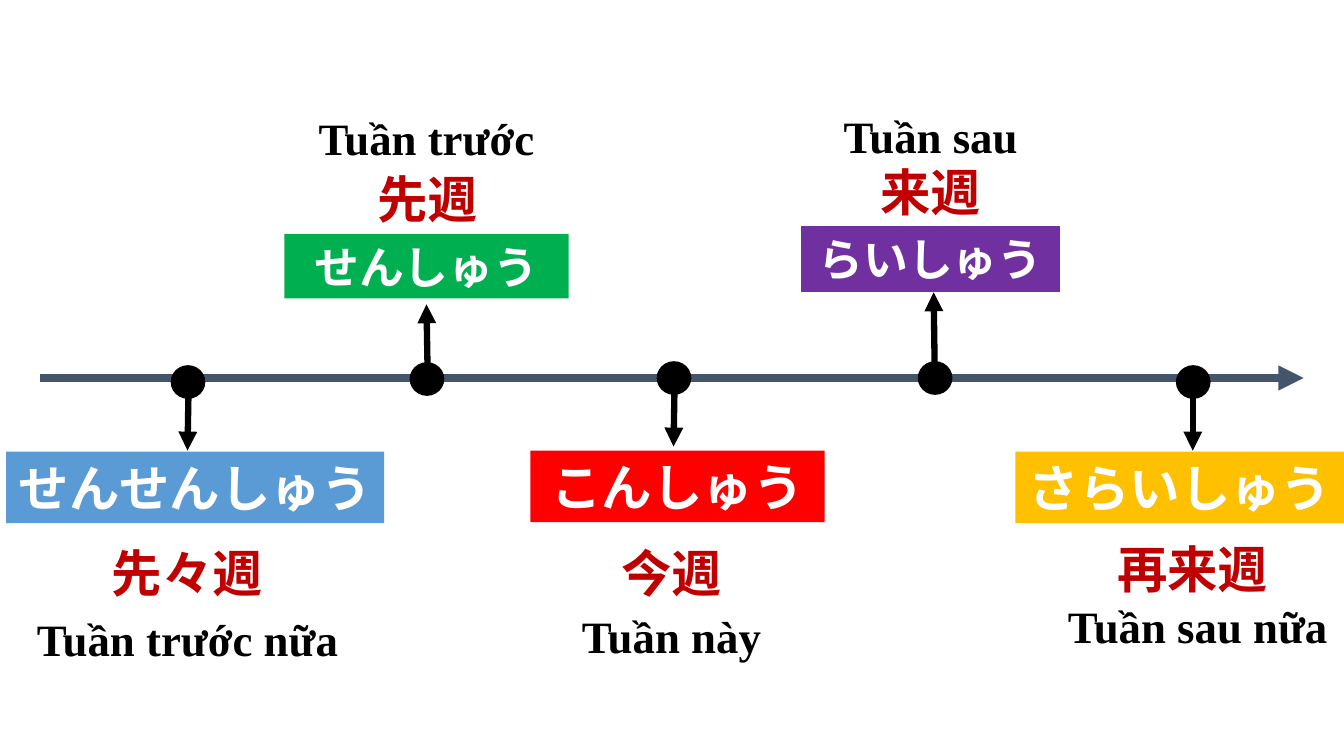
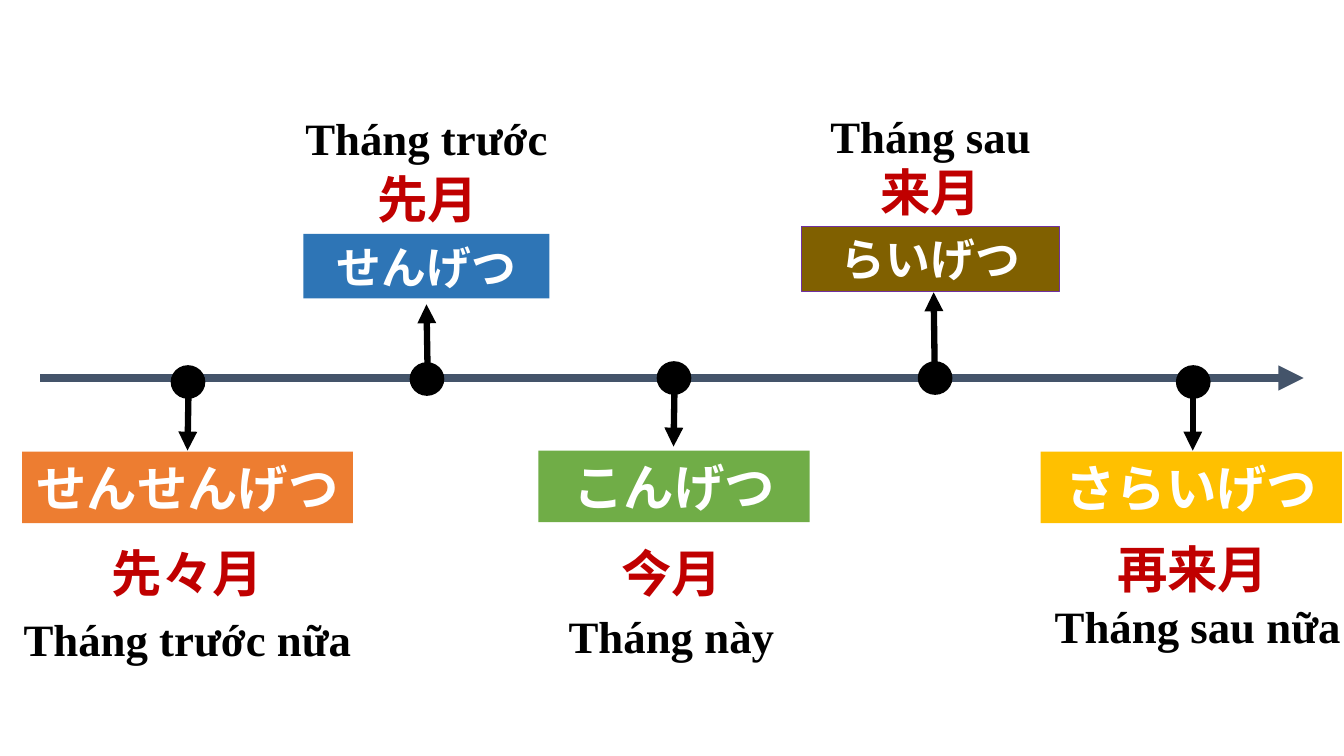
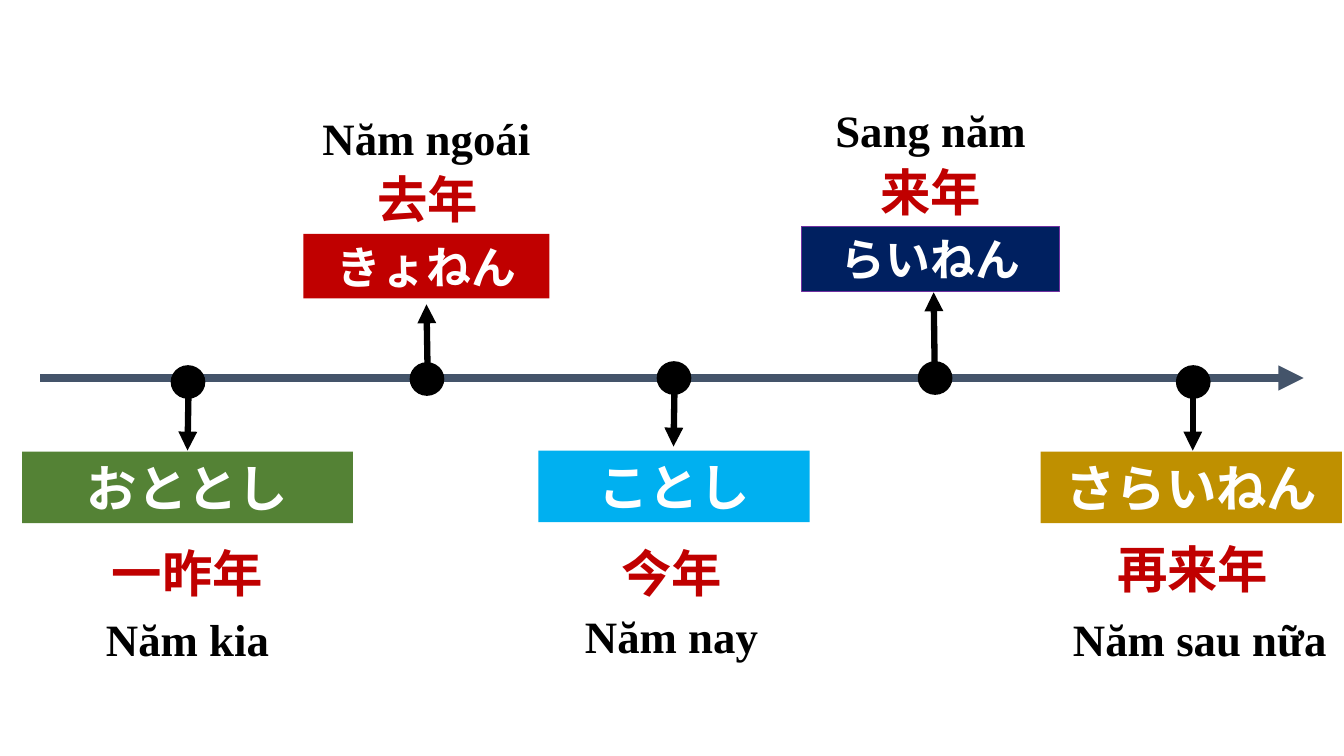
"""Build three Japanese-Vietnamese timelines for weeks, months and years."""
import pptx
import pptx.dml.color
import pptx.enum.shapes
import pptx.enum.text
import pptx.oxml.ns
import pptx.util
from lxml import etree

Inches, Pt = pptx.util.Inches, pptx.util.Pt
RGB = pptx.dml.color.RGBColor
SHAPE = pptx.enum.shapes.MSO_SHAPE
qn = pptx.oxml.ns.qn

BLACK, WHITE = RGB(0, 0, 0), RGB(255, 255, 255)
SLATE = RGB(0x44, 0x54, 0x6A)
DARK_RED, RED = RGB(0xC0, 0, 0), RGB(0xFF, 0, 0)
BLUE, MID_BLUE = RGB(0x5B, 0x9B, 0xD5), RGB(0x2E, 0x75, 0xB6)
SKY, NAVY = RGB(0, 0xB0, 0xF0), RGB(0, 0x20, 0x60)
EMERALD, GREEN = RGB(0, 0xB0, 0x50), RGB(0x70, 0xAD, 0x47)
DARK_GREEN, PURPLE = RGB(0x54, 0x82, 0x35), RGB(0x70, 0x30, 0xA0)
ORANGE, GOLD = RGB(0xED, 0x7D, 0x31), RGB(0xFF, 0xC0, 0)
DARK_GOLD, BROWN = RGB(0xBF, 0x90, 0), RGB(0x80, 0x60, 0)

KANA_FONT, KANJI_FONT, MEANING_FONT = "Noto Sans CJK JP", "Calibri", "Times New Roman"
DOT_W, DOT_H = 0.33, 0.32
KANJI_W, MEANING_W = 2.96, 3.62
LINE_HEIGHT = {32: 0.64, 36: 0.71}

STOPS = [
    dict(dot=(1.7, 3.63), arrow=(1.87, 3.88, 1.86, 4.47), badge_top=4.48, size=36,
         kanji=(0.38, 5.32), meaning=(0.05, 6.02)),
    dict(dot=(4.07, 3.6), arrow=(4.24, 3.61, 4.23, 3.02), badge_top=2.32, size=32,
         kanji=(2.76, 1.61), meaning=(2.42, 1.04)),
    dict(dot=(6.52, 3.59), arrow=(6.69, 3.85, 6.68, 4.43), badge_top=4.47, size=36,
         kanji=(5.18, 5.32), meaning=(4.85, 5.99)),
    dict(dot=(9.11, 3.59), arrow=(9.27, 3.61, 9.26, 2.9), badge_top=2.25, size=32,
         kanji=(7.75, 1.54), meaning=(7.42, 1.03), outline=PURPLE),
    dict(dot=(11.67, 3.63), arrow=(11.83, 3.89, 11.83, 4.47), badge_top=4.48, size=36,
         kanji=(10.35, 5.28), meaning=(10.07, 5.89)),
]

WEEK_BADGES = [(0.06, 3.75), (2.82, 2.82), (5.26, 2.92), (7.95, 2.56), (10.07, 3.27)]
SHORT_BADGES = [(0.22, 3.28), (3.01, 2.44), (5.34, 2.69), (7.95, 2.56), (10.32, 2.99)]

TIMELINES = [
    dict(badges=WEEK_BADGES, latin_kana={4}, moved={}, terms=[
        ("せんせんしゅう", "先々週", "Tuần trước nữa", BLUE),
        ("せんしゅう", "先週", "Tuần trước", EMERALD),
        ("こんしゅう", "今週", "Tuần này", RED),
        ("らいしゅう", "来週", "Tuần sau", PURPLE),
        ("さらいしゅう", "再来週", "Tuần sau nữa", GOLD)]),
    dict(badges=SHORT_BADGES, latin_kana={0, 4}, moved={}, terms=[
        ("せんせんげつ", "先々月", "Tháng trước nữa", ORANGE),
        ("せんげつ", "先月", "Tháng trước", MID_BLUE),
        ("こんげつ", "今月", "Tháng này", GREEN),
        ("らいげつ", "来月", "Tháng sau", BROWN),
        ("さらいげつ", "再来月", "Tháng sau nữa", GOLD)]),
    dict(badges=SHORT_BADGES, latin_kana={0, 4},
         moved={3: (7.42, 0.97), 4: (10.09, 6.02)}, terms=[
        ("おととし", "一昨年", "Năm kia", DARK_GREEN),
        ("きょねん", "去年", "Năm ngoái", DARK_RED),
        ("ことし", "今年", "Năm nay", SKY),
        ("らいねん", "来年", "Sang năm", NAVY),
        ("さらいねん", "再来年", "Năm sau nữa", DARK_GOLD)]),
]


def write(sp, text, *, font, size, color):
    """Put one centred bold line in a shape."""
    tf = sp.text_frame
    tf.word_wrap = True
    tf.vertical_anchor = pptx.enum.text.MSO_ANCHOR.MIDDLE
    p = tf.paragraphs[0]
    p.alignment = pptx.enum.text.PP_ALIGN.CENTER
    r = p.add_run()
    r.text = text
    r.font.name, r.font.size, r.font.bold = font, Pt(size), True
    r.font.color.rgb = color
    r.font._element.find(qn("a:latin")).addnext(
        etree.Element(qn("a:ea"), typeface=font))


def add_label(s, corner, width, text, **fmt):
    """Add a text box one line high."""
    box = (*corner, width, LINE_HEIGHT[fmt["size"]])
    write(s.shapes.add_textbox(*map(Inches, box)), text, **fmt)


def add_block(s, kind, box, fill, outline=None, weight=0.75):
    """Add a flat filled shape."""
    sp = s.shapes.add_shape(kind, *map(Inches, box))
    sp.shadow.inherit = False
    sp.fill.solid()
    sp.fill.fore_color.rgb = fill
    if outline is None:
        sp.line.fill.background()
    else:
        sp.line.color.rgb = outline
        sp.line.width = Pt(weight)
    return sp


def add_arrow(s, ends, color, weight):
    """Add a straight arrow with a triangular head."""
    line = s.shapes.add_connector(
        pptx.enum.shapes.MSO_CONNECTOR.STRAIGHT, *map(Inches, ends))
    line.line.color.rgb = color
    line.line.width = Pt(weight)
    etree.SubElement(line.line._get_or_add_ln(), qn("a:tailEnd"), type="triangle")
    etree.SubElement(line._element.spPr, qn("a:effectLst"))


def add_timeline(prs, timeline):
    """Add one slide with its axis and five stops."""
    s = prs.slides.add_slide(prs.slide_layouts[6])
    add_arrow(s, (0.4, 3.75, 12.93, 3.75), SLATE, 6)
    for i, (stop, (left, width), term) in enumerate(
            zip(STOPS, timeline["badges"], timeline["terms"])):
        kana, kanji, meaning, fill = term
        size = stop["size"]
        add_block(s, SHAPE.FLOWCHART_CONNECTOR, (*stop["dot"], DOT_W, DOT_H),
                  BLACK, BLACK, 1)
        add_arrow(s, stop["arrow"], BLACK, 4.5)
        badge = add_block(s, SHAPE.RECTANGLE,
                          (left, stop["badge_top"], width, LINE_HEIGHT[size]),
                          fill, stop.get("outline"))
        kana_font = KANJI_FONT if i in timeline["latin_kana"] else KANA_FONT
        write(badge, kana, font=kana_font, size=size, color=WHITE)
        add_label(s, stop["kanji"], KANJI_W, kanji,
                  font=KANJI_FONT, size=36, color=DARK_RED)
        add_label(s, timeline["moved"].get(i, stop["meaning"]), MEANING_W, meaning,
                  font=MEANING_FONT, size=32, color=BLACK)


def main():
    """Build and save the presentation."""
    prs = pptx.Presentation()
    prs.slide_width, prs.slide_height = Inches(13.33), Inches(7.5)
    for timeline in TIMELINES:
        add_timeline(prs, timeline)
    prs.save("out.pptx")


if __name__ == "__main__":
    main()
